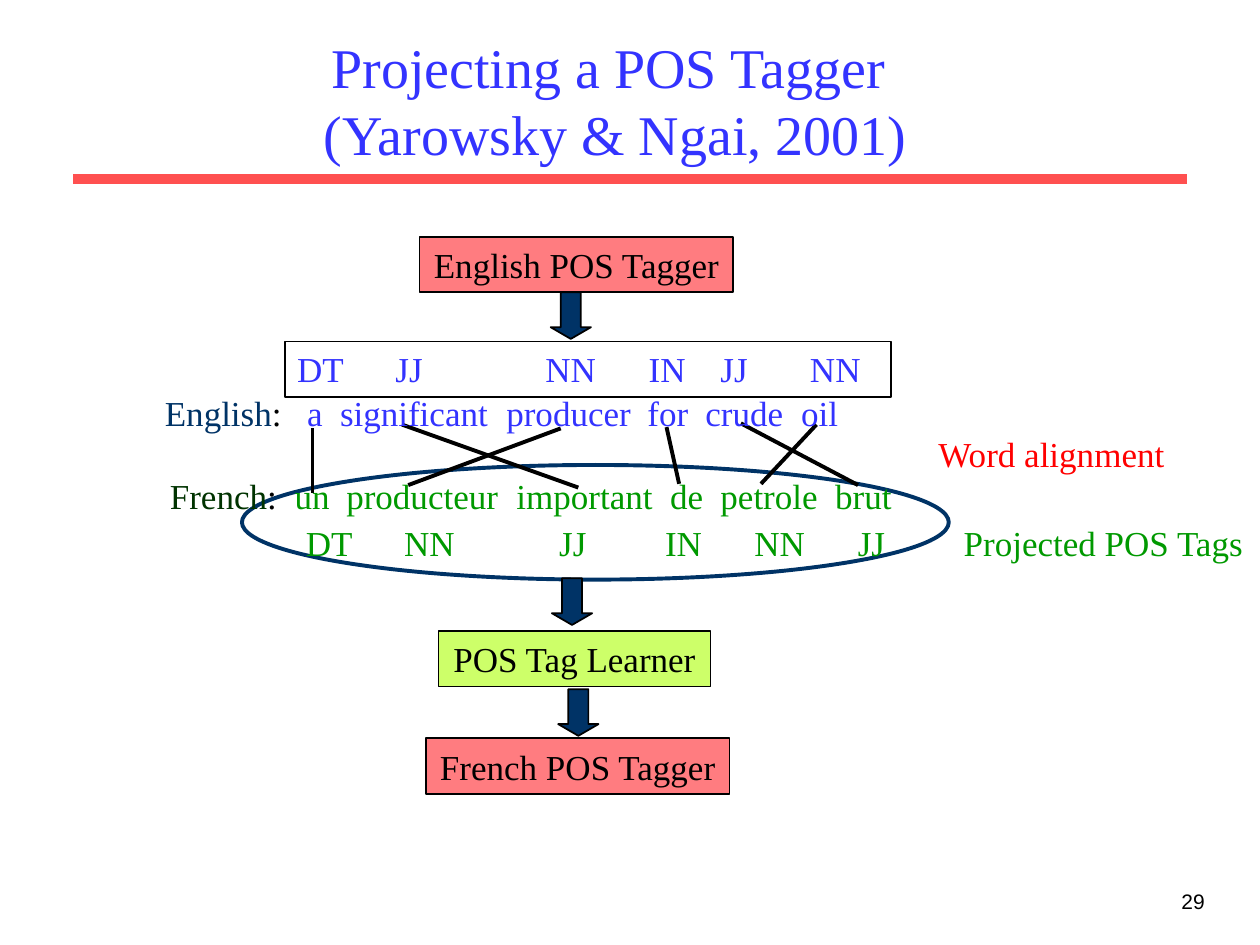
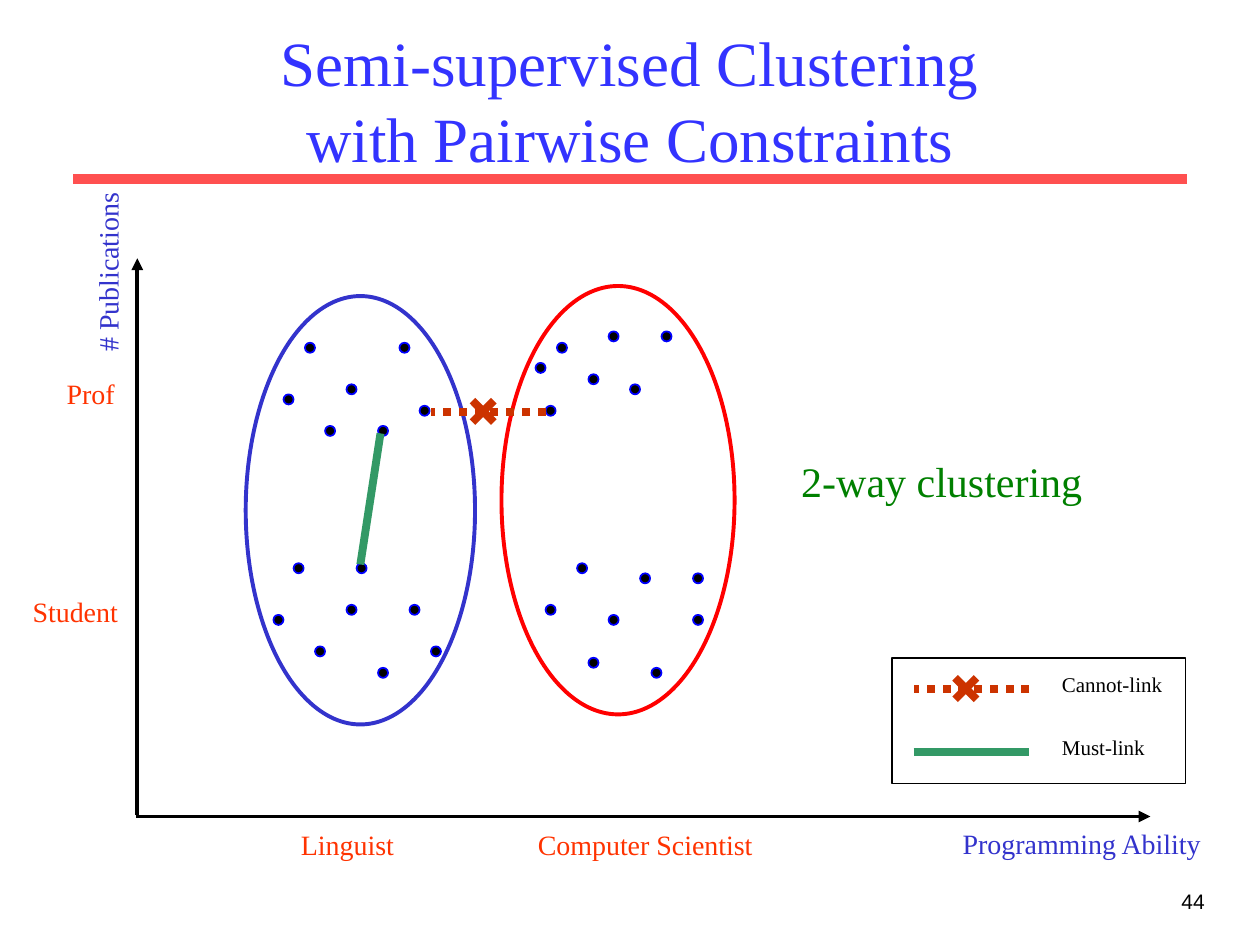
"""Build two slides: projecting a POS tagger, and clustering with pairwise constraints."""
import pptx
import pptx.dml.color
import pptx.enum.dml
import pptx.enum.shapes
import pptx.enum.text
import pptx.oxml.ns
import pptx.util
from lxml import etree

Inches = pptx.util.Inches
SHAPE = pptx.enum.shapes.MSO_SHAPE
STRAIGHT = pptx.enum.shapes.MSO_CONNECTOR.STRAIGHT
ALIGN = pptx.enum.text.PP_ALIGN
ANCHOR = pptx.enum.text.MSO_ANCHOR
SERIF = "Times New Roman"
BLACK, NAVY, BLUE, GREEN = "000000", "003366", "3333FF", "009900"
PINK, LIME, RED, LEAF = "FF7C80", "CDFF69", "FF0000", "008000"
ORANGE, AXIS_BLUE, DOT_BLUE = "FF3300", "3333CC", "0000FF"
RUST, SEA_GREEN, FOREST, BAND = "CC3300", "339966", "003300", "FF5050"
INSET = 0.1


def paint(fill, colour):
    """Make a fill solid in a hex colour, or empty when there is none."""
    if colour is None:
        fill.background()
    else:
        fill.solid()
        fill.fore_color.rgb = pptx.dml.color.RGBColor.from_string(colour)


def write(shape, runs, size, align=ALIGN.CENTER, anchor=ANCHOR.TOP, wrap=None,
          font=SERIF, spacing=None, starts=()):
    """Write coloured runs as one paragraph, with tab stops at the given slide positions."""
    frame_format = {
        "auto_size": pptx.enum.text.MSO_AUTO_SIZE.NONE,
        "word_wrap": align != ALIGN.CENTER if wrap is None else wrap,
        "vertical_anchor": anchor,
        "margin_left": Inches(INSET), "margin_right": Inches(INSET),
        "margin_top": Inches(0.05), "margin_bottom": Inches(0.05),
    }
    for name, value in frame_format.items():
        setattr(shape.text_frame, name, value)
    paragraph = shape.text_frame.paragraphs[0]
    if starts:
        properties = paragraph._p.get_or_add_pPr()
        tab_list = etree.SubElement(properties, pptx.oxml.ns.qn("a:tabLst"))
        for start in starts:
            position = Inches(start) - shape.left - Inches(INSET)
            etree.SubElement(tab_list, pptx.oxml.ns.qn("a:tab"), pos=str(position), algn="l")
    for name, value in {"alignment": align, "line_spacing": spacing}.items():
        setattr(paragraph, name, value)
    for text, colour in runs:
        for index, line in enumerate(text.split("\n")):
            if index:
                paragraph.add_line_break()
            run = paragraph.add_run()
            run.text = line
            for name, value in {"name": font, "size": pptx.util.Pt(size)}.items():
                setattr(run.font, name, value)
            paint(run.font.fill, colour)


tagger_shapes = [
    (SHAPE.RECTANGLE, (3.33, 1.88, 2.49, 0.44), PINK, BLACK, 1, "English POS Tagger"),
    (SHAPE.RECTANGLE, (3.48, 5.01, 2.16, 0.44), LIME, BLACK, 1, "POS Tag Learner"),
    (SHAPE.RECTANGLE, (3.38, 5.86, 2.41, 0.44), PINK, BLACK, 1, "French POS Tagger"),
    (SHAPE.RECTANGLE, (2.26, 2.71, 4.81, 0.44), None, BLACK, 1, None),
    (SHAPE.OVAL, (1.92, 3.69, 5.61, 0.91), None, NAVY, 2.25, None),
]
for left, top in [(4.37, 2.32), (4.38, 4.59), (4.43, 5.47)]:
    tagger_shapes.append((SHAPE.DOWN_ARROW, (left, top, 0.32, 0.37), NAVY, BLACK, 1, None))

alignments = [
    ((2.48, 3.40), (2.48, 3.91)), ((3.19, 3.37), (4.59, 3.87)),
    ((4.45, 3.40), (3.24, 3.85)), ((5.29, 3.39), (5.39, 3.84)),
    ((5.88, 3.36), (6.81, 3.85)), ((6.48, 3.37), (6.04, 3.84)),
]
tagger_lines = [(start, end, BLACK, 2.25, None) for start, end in alignments]

row = {"size": 20, "align": ALIGN.LEFT}
tagger_texts = [
    ((1.21, 3.06, 5.85, 0.44),
     [("English", NAVY), (":", BLACK), ("\ta\tsignificant\tproducer\tfor\tcrude\toil", BLUE)],
     {**row, "starts": (2.44, 2.70, 4.02, 5.14, 5.60, 6.36)}),
    ((1.25, 3.72, 6.0, 0.44),
     [("French", FOREST), (":", BLACK),
      ("\tun\tproducteur\timportant\tde\tpetrole\tbrut", GREEN)],
     {**row, "starts": (2.34, 2.75, 4.10, 5.32, 5.72, 6.63)}),
    ((2.26, 2.71, 4.81, 0.44), [("DT\tJJ\tNN\tIN\tJJ\tNN", BLUE)],
     {**row, "starts": (3.14, 4.33, 5.15, 5.72, 6.43)}),
    ((2.33, 4.09, 7.67, 0.44), [("DT\tNN\tJJ\tIN\tNN\tJJ\tProjected POS Tags", GREEN)],
     {**row, "starts": (3.21, 4.44, 5.28, 5.99, 6.81, 7.65)}),
    ((7.34, 3.38, 2.01, 0.44), [("Word alignment", RED)], {"size": 20}),
]

people = [
    (2.42, 2.72), (2.75, 3.05), (2.25, 3.13), (2.58, 3.38), (3.17, 2.72), (3.33, 3.22),
    (3.00, 3.38), (2.75, 4.80), (3.00, 5.30), (2.33, 4.47), (3.42, 5.13), (2.17, 4.88),
    (2.50, 5.13), (3.25, 4.80), (2.83, 4.47), (4.83, 2.63), (4.67, 2.97), (5.25, 2.63),
    (4.42, 2.72), (4.33, 3.22), (4.25, 2.88), (5.00, 3.05), (5.17, 5.30), (5.08, 4.55),
    (5.50, 4.55), (4.67, 5.22), (4.58, 4.47), (5.50, 4.88), (4.33, 4.80), (4.83, 4.88),
]
cluster_shapes = [
    (SHAPE.OVAL, (left, top, 0.08, 0.08), BLACK, DOT_BLUE, 1, None) for left, top in people
] + [
    (SHAPE.RECTANGLE, (7.08, 5.22, 2.33, 1), None, BLACK, 1, None),
    (SHAPE.OVAL, (1.95, 2.35, 1.82, 3.4), None, AXIS_BLUE, 2.25, None),
    (SHAPE.OVAL, (3.98, 2.27, 1.85, 3.4), None, RED, 2.25, None),
]
cluster_lines = [
    ((1.09, 6.47), (1.09, 2.05), BLACK, 2.25, "arrow"),
    ((1.08, 6.48), (9.13, 6.48), BLACK, 2.25, "arrow"),
    ((7.25, 5.97), (8.17, 5.97), SEA_GREEN, 4.5, None),
    ((2.86, 4.48), (3.02, 3.44), SEA_GREEN, 4.5, None),
]
for left, right, middle, cross in [(3.42, 4.33, 3.27, 3.75), (7.25, 8.17, 5.47, 7.58)]:
    top, bottom = middle - 0.09, middle + 0.08
    cluster_lines += [
        ((right, middle), (left, middle), RUST, 4.5, "dots"),
        ((cross, top), (cross + 0.17, bottom), RUST, 4.5, None),
        ((cross, bottom), (cross + 0.17, top), RUST, 4.5, None),
    ]

label = {"size": 16, "align": ALIGN.LEFT, "spacing": 0.9}
axis = {"size": 16, "spacing": 0.9}
key = {"size": 12, "align": ALIGN.LEFT, "spacing": 0.9}
cluster_texts = [
    ((8.33, 5.3, 1.05, 0.28), [("Cannot-link", BLACK)], key),
    ((8.33, 5.8, 1.05, 0.28), [("Must-link", BLACK)], key),
    ((2.29, 6.55, 1.33, 0.34), [("Linguist", ORANGE)], label),
    ((4.17, 6.55, 1.92, 0.34), [("Computer Scientist", ORANGE)], label),
    ((0.43, 2.97, 0.91, 0.34), [("Prof", ORANGE)], label),
    ((0.16, 4.7, 1.01, 0.34), [("Student", ORANGE)], label),
    ((0.1, 1.99, 1.54, 0.34), [("# Publications", AXIS_BLUE)], {**axis, "rotation": 270}),
    ((7.43, 6.54, 2.31, 0.34), [("Programming Ability", AXIS_BLUE)], axis),
    ((6.26, 3.57, 2.43, 0.5), [("2-way clustering", LEAF)], {"size": 24}),
]

slides = [
    ("Projecting a POS Tagger \n(Yarowsky & Ngai, 2001)", (0.52, 0.25, 8.73, 1.08), 32, "29",
     tagger_shapes, tagger_lines, tagger_texts),
    ("Semi-supervised Clustering\nwith Pairwise Constraints", (0.75, 0.25, 8.5, 1.08), 36, "44",
     cluster_shapes, cluster_lines, cluster_texts),
]

presentation = pptx.Presentation()
presentation.slide_width, presentation.slide_height = Inches(10), Inches(7.5)
layout = presentation.slide_layouts[5]

for title_text, title_box, title_size, number, shapes, lines, texts in slides:
    slide = presentation.slides.add_slide(layout)
    title = slide.shapes.title
    for name, value in zip(("left", "top", "width", "height"), title_box):
        setattr(title, name, Inches(value))
    write(title, [(title_text, BLUE)], title_size, anchor=ANCHOR.MIDDLE, wrap=True)

    for kind, box, fill, line, weight, text in shapes:
        shape = slide.shapes.add_shape(kind, *map(Inches, box))
        shape.shadow.inherit = False
        paint(shape.fill, fill)
        paint(shape.line.fill, line)
        shape.line.width = pptx.util.Pt(weight)
        if kind == SHAPE.DOWN_ARROW:
            shape.adjustments[0], shape.adjustments[1] = 0.5, 0.29
        if text:
            write(shape, [(text, BLACK)], 20, anchor=ANCHOR.MIDDLE)

    band = ((0.58, 1.42), (9.42, 1.42), BAND, 6, None)
    for start, end, colour, weight, style in [band] + lines:
        connector = slide.shapes.add_connector(STRAIGHT, *map(Inches, start + end))
        paint(connector.line.fill, colour)
        connector.line.width = pptx.util.Pt(weight)
        if style == "dots":
            connector.line.dash_style = pptx.enum.dml.MSO_LINE.ROUND_DOT
        if style == "arrow":
            outline = connector.line.fill._xPr
            etree.SubElement(outline, pptx.oxml.ns.qn("a:tailEnd"), type="triangle")
        etree.SubElement(connector.element.spPr, pptx.oxml.ns.qn("a:effectLst"))

    footer = ((7.58, 7, 2.08, 0.5), [(number, BLACK)],
              {"size": 12, "align": ALIGN.RIGHT, "font": "Arial"})
    for box, runs, text_format in texts + [footer]:
        text_box = slide.shapes.add_textbox(*map(Inches, box))
        text_box.rotation = text_format.get("rotation", 0)
        options = {name: value for name, value in text_format.items() if name != "rotation"}
        write(text_box, runs, **options)

presentation.save("out.pptx")
